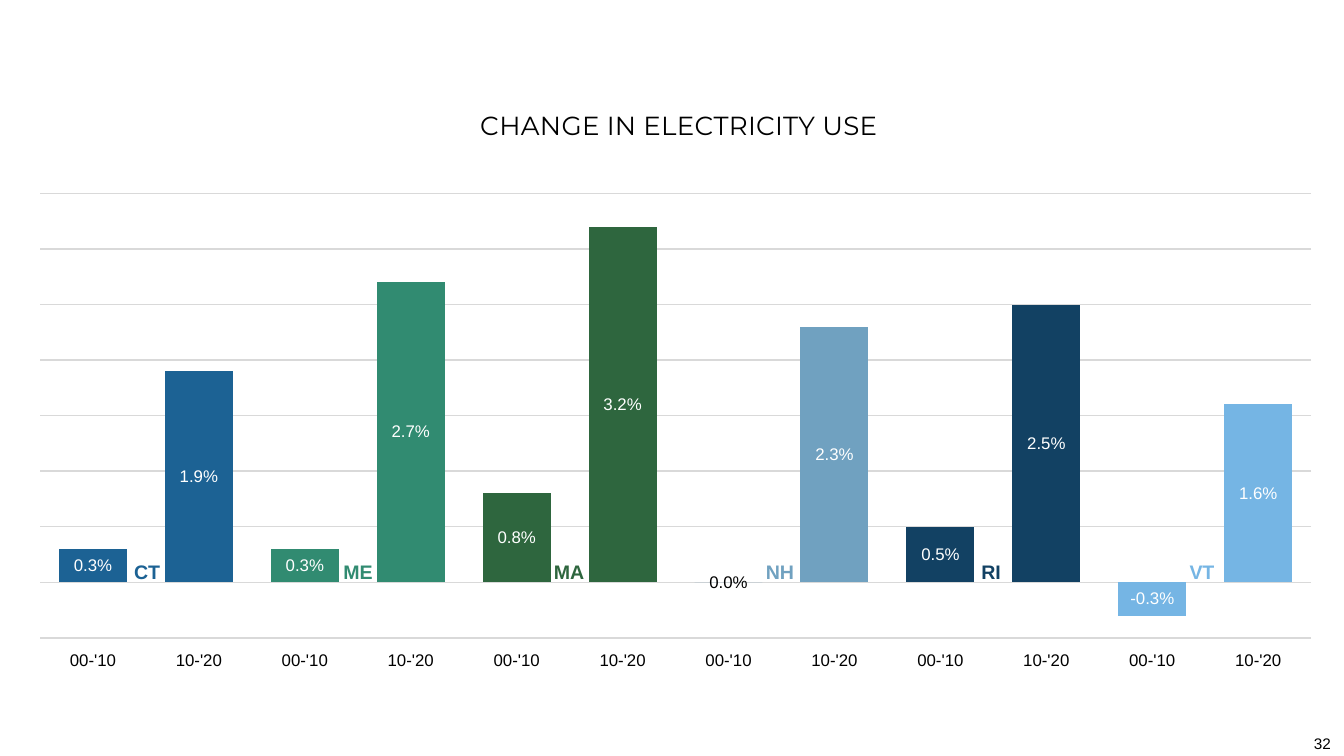
from pptx import Presentation, util as u
from pptx.chart.data import CategoryChartData
from pptx.dml.color import RGBColor
from pptx.enum import chart as ch, text as t
from pptx.oxml import parse_xml
from pptx.oxml.ns import nsdecls

SCALE = 914400 / 134.4


def px(*nums):
    return [round(n * SCALE) for n in nums]


def style(font, size, color="000000", bold=False, face="Arial"):
    font.name, font.size, font.bold = face, u.Pt(size), bold
    font.color.rgb = RGBColor.from_string(color)


states = [
    ("CT", "1C6294", 0.003, 0.019),
    ("ME", "318B71", 0.003, 0.027),
    ("MA", "2E663E", 0.008, 0.032),
    ("NH", "70A1C0", 0, 0.023),
    ("RI", "124163", 0.005, 0.025),
    ("VT", "75B5E4", -0.003, 0.016),
]

prs = Presentation()
prs.slide_width, prs.slide_height = px(1344, 756)
slide = prs.slides.add_slide(prs.slide_layouts[6])

# Chart: two decades for each state
data = CategoryChartData(number_format="0.0%")
data.categories = ["00-'10", "10-'20"] * len(states)
data.add_series("Series 1", [v for state in states for v in state[2:]])
frame = slide.shapes.add_chart(
    ch.XL_CHART_TYPE.COLUMN_CLUSTERED, *px(19, 78, 1312, 601), data)
chart = frame.chart
style(chart.font, 10)
chart.has_legend = False
chart.has_title = True
title = chart.chart_title
head = title.text_frame.paragraphs[0]
head.text = "CHANGE IN ELECTRICITY USE"
style(head.font, 14, face="Montserrat")

# Fixed places for the title and the plot area
spot = '<c:xMode val="edge"/><c:yMode val="edge"/><c:x val="{}"/><c:y val="{}"/>'
size = '<c:w val="0.969"/><c:h val="0.74"/>'
wrap = f"<c:layout {nsdecls('c')}><c:manualLayout>{{}}</c:manualLayout></c:layout>"
plot = chart.plots[0]
area = chart._chartSpace.chart.plotArea
for old in area.findall("{*}layout"):
    area.remove(old)
inner = '<c:layoutTarget val="inner"/>' + spot.format(0.016, 0.192) + size
area.insert(0, parse_xml(wrap.format(inner)))
box = title._element
for old in box.findall("{*}layout"):
    box.remove(old)
box.find("{*}tx").addnext(parse_xml(wrap.format(spot.format(0.348, 0.04))))
title.include_in_layout = False

# Axes
cat, val = chart.category_axis, chart.value_axis
cat.tick_label_position = ch.XL_TICK_LABEL_POSITION.LOW
cat.major_tick_mark = ch.XL_TICK_MARK.NONE
style(cat.tick_labels.font, 9)
val.visible = False
val.minimum_scale, val.maximum_scale, val.major_unit = -0.005, 0.035, 0.005
val.has_major_gridlines = True
for line in (cat.format.line, val.major_gridlines.format.line):
    line.color.rgb = RGBColor.from_string("D9D9D9")
    line.width = u.Pt(0.75)

# Bars and their labels
plot.gap_width, plot.overlap, plot.vary_by_categories = 56, -46, False
bars = plot.series[0]
bars.invert_if_negative = False
for i in range(2 * len(states)):
    fill = bars.points[i].format.fill
    fill.solid()
    fill.fore_color.rgb = RGBColor.from_string(states[i // 2][1])
tags = bars.data_labels
tags.show_value = True
tags.number_format, tags.number_format_is_linked = "0.0%", False
tags.position = ch.XL_LABEL_POSITION.CENTER
style(tags.font, 9, "FFFFFF")
zero = bars.points[6].data_label
style(zero.font, 9)
zero.position = ch.XL_LABEL_POSITION.CENTER

# State names between the bars, then the page number
notes = [(name, (92 + 211 * i, 552, 110, 39), 10.5, color, True, t.PP_ALIGN.CENTER)
         for i, (name, color, *_) in enumerate(states)]
notes.append(("32", (1294, 727, 50, 32), 8.2, "000000", False, t.PP_ALIGN.RIGHT))
for words, place, points, color, bold, align in notes:
    body = slide.shapes.add_textbox(*px(*place)).text_frame
    body.word_wrap = True
    body.vertical_anchor = t.MSO_ANCHOR.MIDDLE
    para = body.paragraphs[0]
    para.text, para.alignment = words, align
    style(para.font, points, color, bold)

prs.save("out.pptx")
